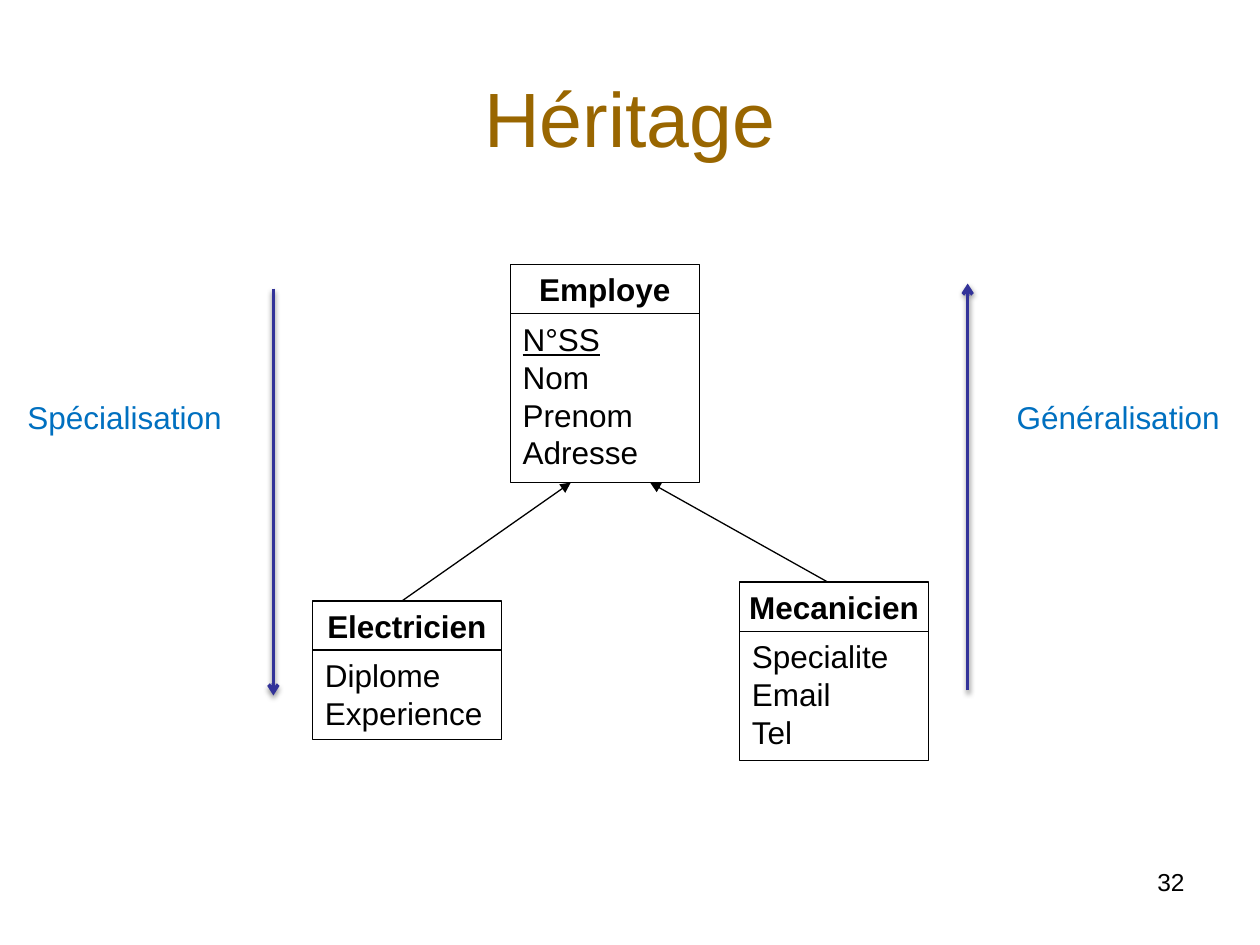
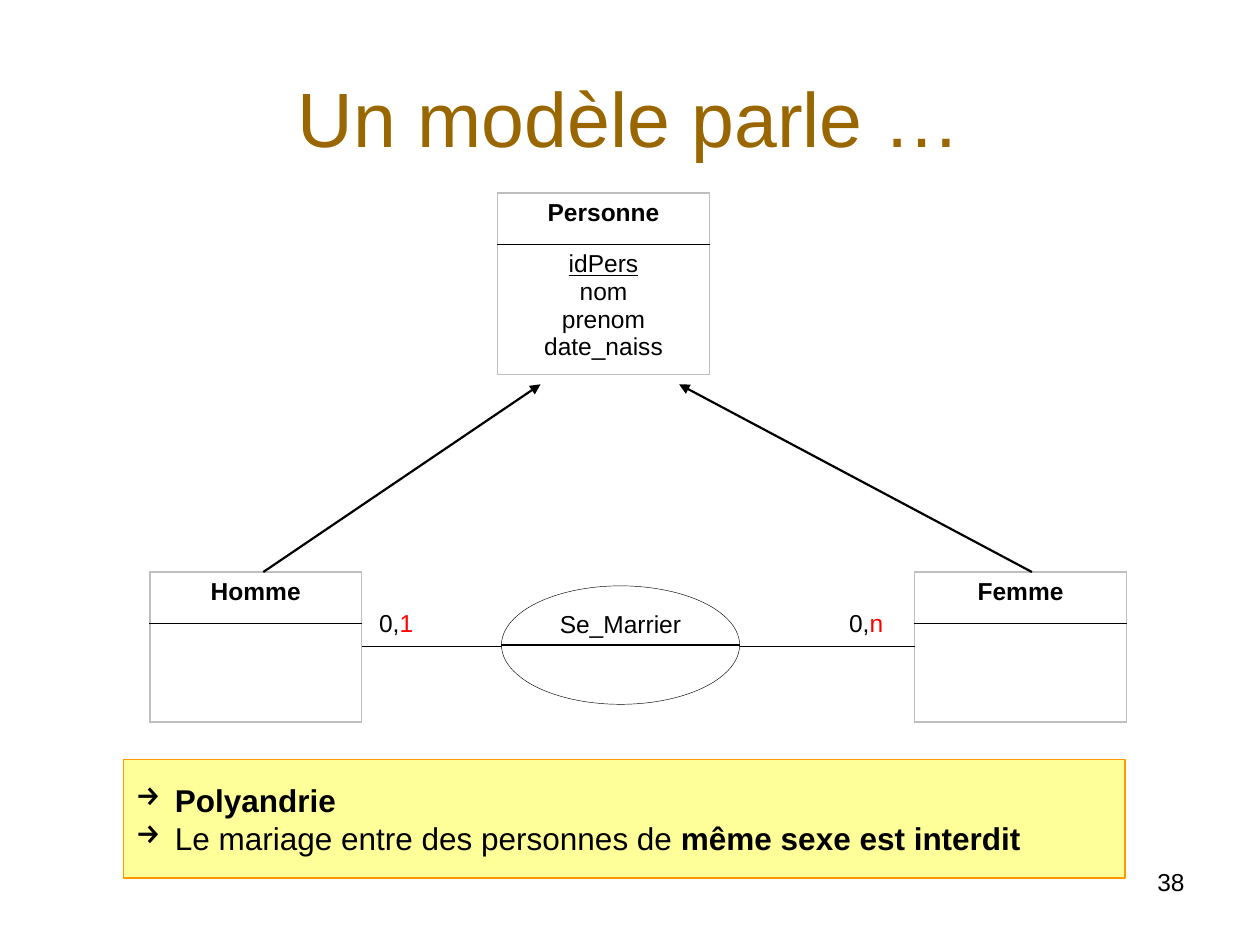
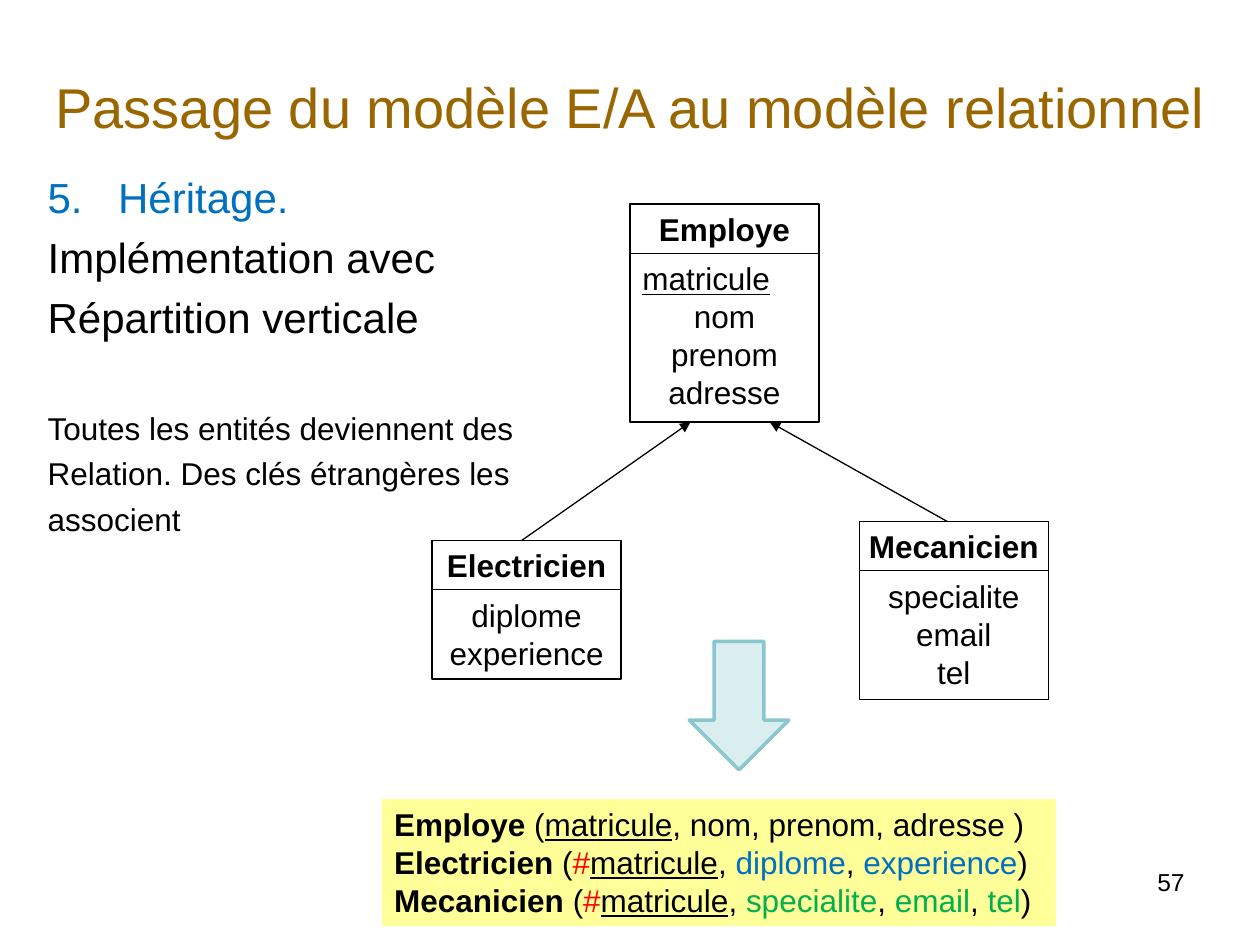
from lxml import etree
from pptx import Presentation
from pptx import util as u
from pptx.dml.color import RGBColor
from pptx.enum import shapes, text
from pptx.oxml.ns import qn

# ---- Shared look ----
FONT = "Arial"
COLOURS = {
    "black": "000000", "white": "FFFFFF", "title": "996600", "red": "FF0000",
    "blue": "0070C0", "green": "00B050", "navy": "333399", "grey": "BFBFBF",
    "note": "FFFF99", "note edge": "FF9900",
    "arrow": "DAEDEF", "arrow edge": "8AC6CD",
}
LEFT, CENTER, RIGHT = text.PP_ALIGN.LEFT, text.PP_ALIGN.CENTER, text.PP_ALIGN.RIGHT
TOP, MIDDLE = text.MSO_ANCHOR.TOP, text.MSO_ANCHOR.MIDDLE
RECT = shapes.MSO_SHAPE.RECTANGLE
TITLE_BOX = (0, 0.3, 10, 1.25)
NUMBER_BOX = (7.17, 6.83, 2.33, 0.52)

# ---- Content: a paragraph is a string or a list of runs, a run is (text, styles...) ----
KEY = "underline"

# Entities of the employee diagrams, placed from the corner of Employe
ENTITY_WIDTH, HEAD_HEIGHT, LINE_HEIGHT = 1.5, 0.39, 0.315
ENTITY_OFFSETS = {"Employe": (0, 0), "Electricien": (-1.57, 2.67), "Mecanicien": (1.82, 2.52)}
INHERITANCE = [((-0.86, 2.67), (0.48, 1.73)), ((2.52, 2.52), (1.11, 1.73))]

HERITAGE = {
    "Employe": [[("N°SS", KEY)], "Nom", "Prenom", "Adresse"],
    "Electricien": ["Diplome", "Experience"],
    "Mecanicien": ["Specialite", "Email", "Tel"],
}
DIRECTIONS = [  # label, label left, label width, arrow x, arrow start, arrow end
    ("Spécialisation", 0.12, 1.76, 2.17, 2.29, 5.52),
    ("Généralisation", 7.97, 1.83, 7.68, 5.48, 2.25),
]

PERSONS = [  # name, left, top, attributes
    ("Personne", 3.95, 1.53, [[("idPers", KEY)], "nom", "prenom", "date_naiss"]),
    ("Homme", 1.19, 4.54, []),
    ("Femme", 7.26, 4.54, []),
]
PERSON_WIDTH, PERSON_ROWS = 1.68, (0.41, 0.78)
PERSON_ARROWS = [((2.09, 4.54), (4.29, 3.05)), ((8.19, 4.54), (5.39, 3.05))]
CARDINALITIES = [("1", 2.91), ("n", 6.64)]
CONCLUSIONS = [
    [("Polyandrie", "bold")],
    [("Le mariage entre des personnes de ",), ("même sexe est interdit", "bold")],
]

VERTICAL = {
    "Employe": [[("matricule", KEY)], "nom", "prenom", "adresse"],
    "Electricien": ["diplome", "experience"],
    "Mecanicien": ["specialite", "email", "tel"],
}
STEPS = [  # text, colour, size, space before
    ("Héritage.", "blue", 24, 5.6),
    ("Implémentation avec", "black", 24, 5.6),
    ("Répartition verticale", "black", 24, 5.6),
    ("Toutes les entités deviennent des", "black", 18, 38),
    ("Relation. Des clés étrangères les", "black", 18, 4.4),
    ("associent", "black", 18, 4.4),
]
CHILD_COLOURS = {"Electricien": "blue", "Mecanicien": "green"}


def relation(name, attributes):
    """Runs of one relation: a child carries a foreign key and coloured attributes."""
    if name not in CHILD_COLOURS:
        own = ", ".join(attributes[1:])
        return [(name + " ", "bold"), ("(",), ("matricule", KEY), (f", {own} )",)]
    runs = [(name + " ", "bold"), ("(",), ("#", "red"), ("matricule", KEY)]
    for attribute in attributes:
        runs += [(", ",), (attribute, CHILD_COLOURS[name])]
    return runs + [(")",)]


# ---- Helpers ----
def rgb(name):
    return RGBColor.from_string(COLOURS[name])


def inches(*lengths):
    return [u.Inches(length) for length in lengths]


def add_xml(parent, tag, **attributes):
    return etree.SubElement(parent, qn(tag), {k: str(v) for k, v in attributes.items()})


def write(frame, paragraphs, size, align=LEFT, colour="black", styles=()):
    for i, runs in enumerate(paragraphs):
        paragraph = frame.paragraphs[0] if i == 0 else frame.add_paragraph()
        paragraph.alignment = align
        for words, *own in [(runs,)] if isinstance(runs, str) else runs:
            marks = [*styles, *own]
            run = paragraph.add_run()
            run.text = words
            run.font.name, run.font.size = FONT, u.Pt(size)
            run.font.bold = "bold" in marks
            run.font.underline = KEY in marks
            run.font.color.rgb = rgb(next((m for m in marks if m in COLOURS), colour))


def add_bullet(paragraph, indent, tag, **attributes):
    props = paragraph._p.get_or_add_pPr()
    props.set("marL", str(u.Inches(indent)))
    props.set("indent", str(-u.Inches(indent)))
    add_xml(props, tag, **attributes)


def add_label(slide, box, paragraphs, size, align=LEFT, colour="black", wrap=True):
    frame = slide.shapes.add_textbox(*inches(*box)).text_frame
    frame.word_wrap = wrap
    write(frame, paragraphs, size, align, colour)
    return frame


def add_figure(slide, kind, box, fill=None, line=None, width=0.75, anchor=TOP, wrap=True):
    figure = slide.shapes.add_shape(kind, *inches(*box))
    figure.shadow.inherit = False
    if fill:
        figure.fill.solid()
        figure.fill.fore_color.rgb = rgb(fill)
    else:
        figure.fill.background()
    if line:
        figure.line.color.rgb = rgb(line)
        figure.line.width = u.Pt(width)
    else:
        figure.line.fill.background()
    figure.text_frame.vertical_anchor = anchor
    figure.text_frame.word_wrap = wrap
    return figure.text_frame


def add_line(slide, start, end, width=0.75, colour="black", head=None, shadow=False):
    line = slide.shapes.add_connector(shapes.MSO_CONNECTOR.STRAIGHT, *inches(*start, *end))
    line.line.color.rgb = rgb(colour)
    line.line.width = u.Pt(width)
    props = line._element.spPr
    if head:
        add_xml(props.find(qn("a:ln")), "a:tailEnd", type=head)
    effects = add_xml(props, "a:effectLst")
    if shadow:
        cast = add_xml(effects, "a:outerShdw", blurRad=u.Pt(3.1), dist=u.Pt(1.6),
                       dir=90 * 60000, rotWithShape=0)
        add_xml(add_xml(cast, "a:srgbClr", val=COLOURS["black"]), "a:alpha", val=38000)


def add_page(deck, heading, number, box=TITLE_BOX, size=44):
    slide = deck.slides.add_slide(deck.slide_layouts[5])
    title = slide.shapes.title
    title.left, title.top, title.width, title.height = inches(*box)
    frame = title.text_frame
    frame.auto_size = text.MSO_AUTO_SIZE.NONE
    frame.vertical_anchor = MIDDLE
    write(frame, [heading], size, CENTER, "title")
    add_label(slide, NUMBER_BOX, [str(number)], 14, RIGHT)
    return slide


def add_employees(slide, left, top, entities, align):
    for name, attributes in entities.items():
        dx, dy = ENTITY_OFFSETS[name]
        x, y = left + dx, top + dy
        head = add_figure(slide, RECT, (x, y, ENTITY_WIDTH, HEAD_HEIGHT),
                          line="black", anchor=MIDDLE, wrap=False)
        write(head, [name], 18, CENTER, styles=["bold"])
        height = 0.08 + LINE_HEIGHT * len(attributes)
        body = add_figure(slide, RECT, (x, y + HEAD_HEIGHT, ENTITY_WIDTH, height), line="black")
        write(body, attributes, 18, align)
        if isinstance(attributes[0], list):
            body.paragraphs[0].alignment = LEFT
    for start, end in INHERITANCE:
        add_line(slide, *[(left + x, top + y) for x, y in (start, end)], head="triangle")


def add_person(slide, name, left, top, attributes):
    table = slide.shapes.add_table(
        2, 1, *inches(left, top, PERSON_WIDTH, sum(PERSON_ROWS))).table
    table.first_row = table.horz_banding = False
    for i, height in enumerate(PERSON_ROWS):
        table.rows[i].height = u.Inches(height)
        cell = table.cell(i, 0)
        write(cell.text_frame, attributes if i else [name], 14, CENTER,
              styles=[] if i else ["bold"])
        props = cell._tc.get_or_add_tcPr()
        inner = "a:lnT" if i else "a:lnB"
        for side in ("a:lnL", "a:lnR", "a:lnT", "a:lnB"):
            edge = add_xml(props, side, w=u.Pt(1))
            colour = COLOURS["black" if side == inner else "grey"]
            add_xml(add_xml(edge, "a:solidFill"), "a:srgbClr", val=colour)
        cell.fill.solid()
        cell.fill.fore_color.rgb = rgb("white")


# ---- Slides ----
def build_heritage(deck):
    slide = add_page(deck, "Héritage", 32)
    add_employees(slide, 4.05, 2.1, HERITAGE, LEFT)
    for label, left, width, x, start, end in DIRECTIONS:
        add_label(slide, (left, 3.11, width, 0.4), [label], 18, colour="blue", wrap=False)
        add_line(slide, (x, start), (x, end), 2, "navy", "arrow", shadow=True)


def build_marriage(deck):
    slide = add_page(deck, "Un modèle parle …", 38)
    for person in PERSONS:
        add_person(slide, *person)
    for start, end in PERSON_ARROWS:
        add_line(slide, start, end, 1.25, head="triangle")

    # Association between Homme and Femme
    add_line(slide, (2.87, 5.13), (7.26, 5.13))
    association = add_figure(slide, shapes.MSO_SHAPE.OVAL, (3.98, 4.65, 1.89, 0.94),
                             "white", "black", 0.25)
    write(association, ["Se_Marrier"], 14, CENTER)
    add_line(slide, (3.98, 5.12), (5.87, 5.12))
    for maximum, left in CARDINALITIES:
        add_label(slide, (left, 4.78, 0.59, 0.34), [[("0,",), (maximum, "red")]], 14)

    conclusion = add_figure(slide, RECT, (0.98, 6.03, 7.95, 0.94),
                            "note", "note edge", anchor=MIDDLE)
    write(conclusion, CONCLUSIONS, 18)
    for paragraph in conclusion.paragraphs:
        add_bullet(paragraph, 0.31, "a:buChar", char="→")


def build_relational(deck):
    slide = add_page(deck, "Passage du modèle E/A au modèle relationnel", 57,
                     (0.2, 0.3, 9.61, 1.09), 32)
    steps = add_label(slide, (0.28, 1.31, 9.53, 3.07), [], 24)
    for i, (words, colour, size, space) in enumerate(STEPS):
        paragraph = steps.paragraphs[0] if i == 0 else steps.add_paragraph()
        paragraph.space_before = u.Pt(space)
        run = paragraph.add_run()
        run.text = words
        run.font.name, run.font.size = FONT, u.Pt(size)
        run.font.color.rgb = rgb(colour)
    add_bullet(steps.paragraphs[0], 0.56, "a:buAutoNum", type="arabicPeriod", startAt=5)

    relations = add_figure(slide, RECT, (3.03, 6.34, 5.35, 1.01), "note")
    names = {**VERTICAL, "Employe": ["matricule", *VERTICAL["Employe"][1:]]}
    write(relations, [relation(*item) for item in names.items()], 18)
    add_figure(slide, shapes.MSO_SHAPE.DOWN_ARROW, (5.47, 5.09, 0.79, 1.02),
               "arrow", "arrow edge", 2)
    add_employees(slide, 5, 1.62, VERTICAL, CENTER)


def main():
    deck = Presentation()
    deck.slide_width, deck.slide_height = inches(10, 7.5)
    build_heritage(deck)
    build_marriage(deck)
    build_relational(deck)
    deck.save("out.pptx")


if __name__ == "__main__":
    main()
